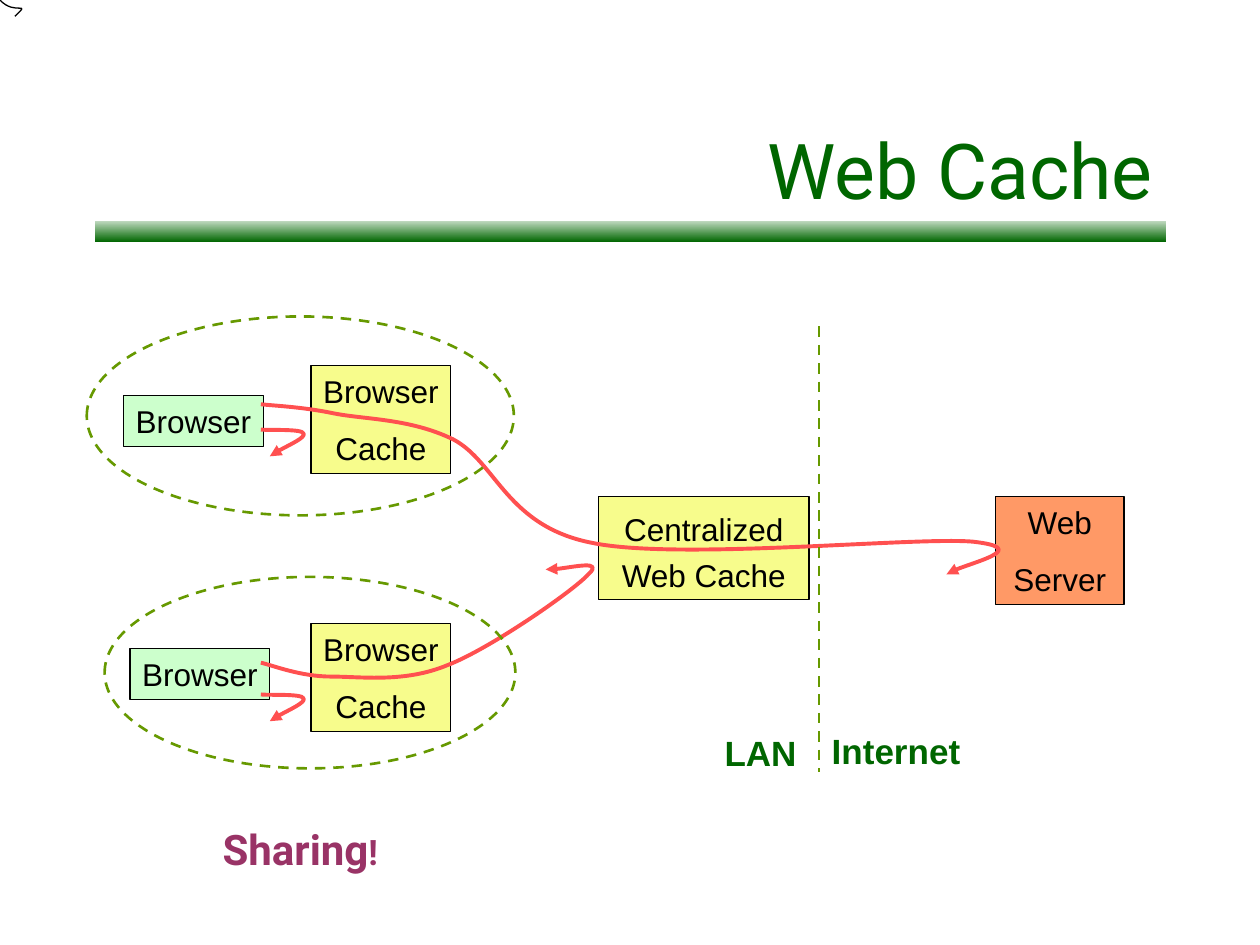
import pptx
import pptx.util
import pptx.dml.color
import pptx.enum.dml
import pptx.enum.shapes
import pptx.enum.text
import pptx.oxml.ns
import pptx.oxml.xmlchemy
from pptx.util import Cm

GREEN, OLIVE, RED, BLACK = "006600", "669900", "FF5050", "000000"
MINT, YELLOW, ORANGE, PLUM = "CCFFCC", "F7FC8C", "FF9966", "993366"

BAR = (1.91, 4.45, 21.59, 0.43)
TITLE = (1.91, 1.91, 21.59, 2.97)
BOXES = [
    (["Browser"], (2.49, 7.98, 2.82, 1.02), MINT, {}),
    (["Browser"], (2.62, 13.08, 2.82, 1.02), MINT, {}),
    (["Browser", "Cache"], (6.27, 7.37, 2.82, 2.18), YELLOW, {}),
    (["Browser", "Cache"], (6.27, 12.57, 2.82, 2.18), YELLOW, {}),
    (["Centralized Web Cache"], (12.07, 10.01, 4.24, 2.08), YELLOW,
     {"wrap": True, "space": 1.2}),
    (["Web", "Server"], (20.07, 10.01, 2.59, 2.18), ORANGE, {"wrap": True}),
]
LABELS = [
    ([("Sharing", 24), ("!", 20)], (3.91, 16.48, 3.96, 1.27), "Roboto", PLUM),
    ([("LAN", 20)], (14.35, 14.63, 1.96, 1.12), "Arial", GREEN),
    ([("Internet", 20)], (16.51, 14.58, 3.1, 1.12), "Arial", GREEN),
]
RINGS = [(1.75, 6.38, 8.61, 4.01), (2.11, 11.63, 8.28, 3.86)]
BORDER = (16.51, 6.58, 16.51, 15.57)

CORNER = [(0, 0), (0.3, 0.33), (0.64, 0), (0.3, 0.33)]
TO_WEB = [
    (5.26, 8.15), (5.51, 8.18), (6.07, 8.2), (6.71, 8.33),
    (7.34, 8.46), (8.26, 8.43), (9.14, 8.86),
    (10.01, 9.32), (10.21, 10.62), (11.96, 10.95),
    (13.72, 11.3), (18.42, 10.82), (19.61, 10.92),
    (20.78, 11.05), (19.18, 11.46), (19.08, 11.58),
]
TO_CACHE = [
    (5.26, 13.36), (5.49, 13.41), (6.05, 13.64), (6.68, 13.64),
    (7.29, 13.64), (8.15, 13.77), (9.02, 13.41),
    (9.88, 13.08), (11.56, 11.91), (11.86, 11.58),
    (12.19, 11.28), (11.18, 11.51), (11, 11.48),
]
HOOK = [(0, 0), (0.15, 0.02), (0.84, -0.02), (0.86, 0.08),
        (0.91, 0.16), (0.3, 0.44), (0.18, 0.54)]
HOOKS = [(5.26, 8.66), (5.26, 14)]

KIND = pptx.enum.shapes.MSO_SHAPE
ALIGN = pptx.enum.text.PP_ALIGN
ANCHOR = pptx.enum.text.MSO_ANCHOR
DASH = pptx.enum.dml.MSO_LINE.DASH
qn = pptx.oxml.ns.qn
make = pptx.oxml.xmlchemy.OxmlElement

deck = pptx.Presentation()
deck.slide_width, deck.slide_height = Cm(25.4), Cm(19.05)
shapes = deck.slides.add_slide(deck.slide_layouts[6]).shapes


def tint(code):
    return pptx.dml.color.RGBColor.from_string(code)


def place(nums):
    return [Cm(n) for n in nums]


def stroke(line, color, width, dash=None):
    line.color.rgb = tint(color)
    line.width = pptx.util.Pt(width)
    if dash:
        line.dash_style = dash


def paint(shape, fill):
    shape.shadow.inherit = False
    if fill:
        shape.fill.solid()
        shape.fill.fore_color.rgb = tint(fill)
    else:
        shape.fill.background()


def write(shape, paras, font="Arial", color=BLACK, bold=False, align=ALIGN.CENTER,
          anchor=ANCHOR.MIDDLE, wrap=False, space=None):
    frame = shape.text_frame
    frame.word_wrap = wrap
    frame.vertical_anchor = anchor
    for i, runs in enumerate(paras):
        para = frame.add_paragraph() if i else frame.paragraphs[0]
        para.alignment = align
        if i:
            para.space_before = pptx.util.Pt(11.2)
        if space:
            para.line_spacing = space
        for text, size in runs:
            run = para.add_run()
            run.text = text
            run.font.size = pptx.util.Pt(size)
            run.font.name = font
            run.font.bold = bold
            run.font.color.rgb = tint(color)


def form(kind, spot, fill=None):
    shape = shapes.add_shape(kind, *place(spot))
    paint(shape, fill)
    return shape


def curve(points, color=RED, width=2.25, fill=None, arrow=True):
    dots = [place(p) for p in points]
    maker = shapes.build_freeform(*dots[0], scale=1.0)
    maker.add_line_segments(dots[1:], close=False)
    shape = maker.convert_to_shape()
    paint(shape, fill)
    stroke(shape.line, color, width)
    track = shape._element.find(".//" + qn("a:path"))
    steps = track.findall(qn("a:lnTo"))
    for i in range(0, len(steps), 3):
        bend = make("a:cubicBezTo")
        for step in steps[i:i + 3]:
            bend.append(step[0])
            track.remove(step)
        track.append(bend)
    if arrow:
        tail = make("a:tailEnd")
        tail.set("type", "triangle")
        shape.get_or_add_ln().append(tail)


bar = form(KIND.RECTANGLE, BAR)
bar.line.fill.background()
bar.fill.gradient()
bar.fill.gradient_angle = 270
for stop, code, spot in zip(bar.fill.gradient_stops, ("C3DBC3", GREEN), (0, 1)):
    stop.color.rgb = tint(code)
    stop.position = spot

title = shapes.add_textbox(*place(TITLE))
write(title, [[("Web Cache", 44)]], font="Roboto", color=GREEN, align=ALIGN.RIGHT, wrap=True)

curve(CORNER, BLACK, 0.75, fill="FFFFFF", arrow=False)

for lines, spot, fill, style in BOXES:
    box = form(KIND.RECTANGLE, spot, fill)
    stroke(box.line, BLACK, 0.75)
    write(box, [[(text, 18)] for text in lines], **style)

curve(TO_WEB)
curve(TO_CACHE)
for left, top in HOOKS:
    curve([(left + x, top + y) for x, y in HOOK])

for runs, spot, font, color in LABELS:
    write(shapes.add_textbox(*place(spot)), [runs], font=font, color=color, bold=True,
          align=ALIGN.RIGHT, anchor=ANCHOR.TOP)

border = shapes.add_connector(pptx.enum.shapes.MSO_CONNECTOR.STRAIGHT, *place(BORDER))
stroke(border.line, OLIVE, 1.5, DASH)
border._element.spPr.append(make("a:effectLst"))

for spot in RINGS:
    stroke(form(KIND.OVAL, spot).line, OLIVE, 1.5, DASH)

deck.save("out.pptx")
